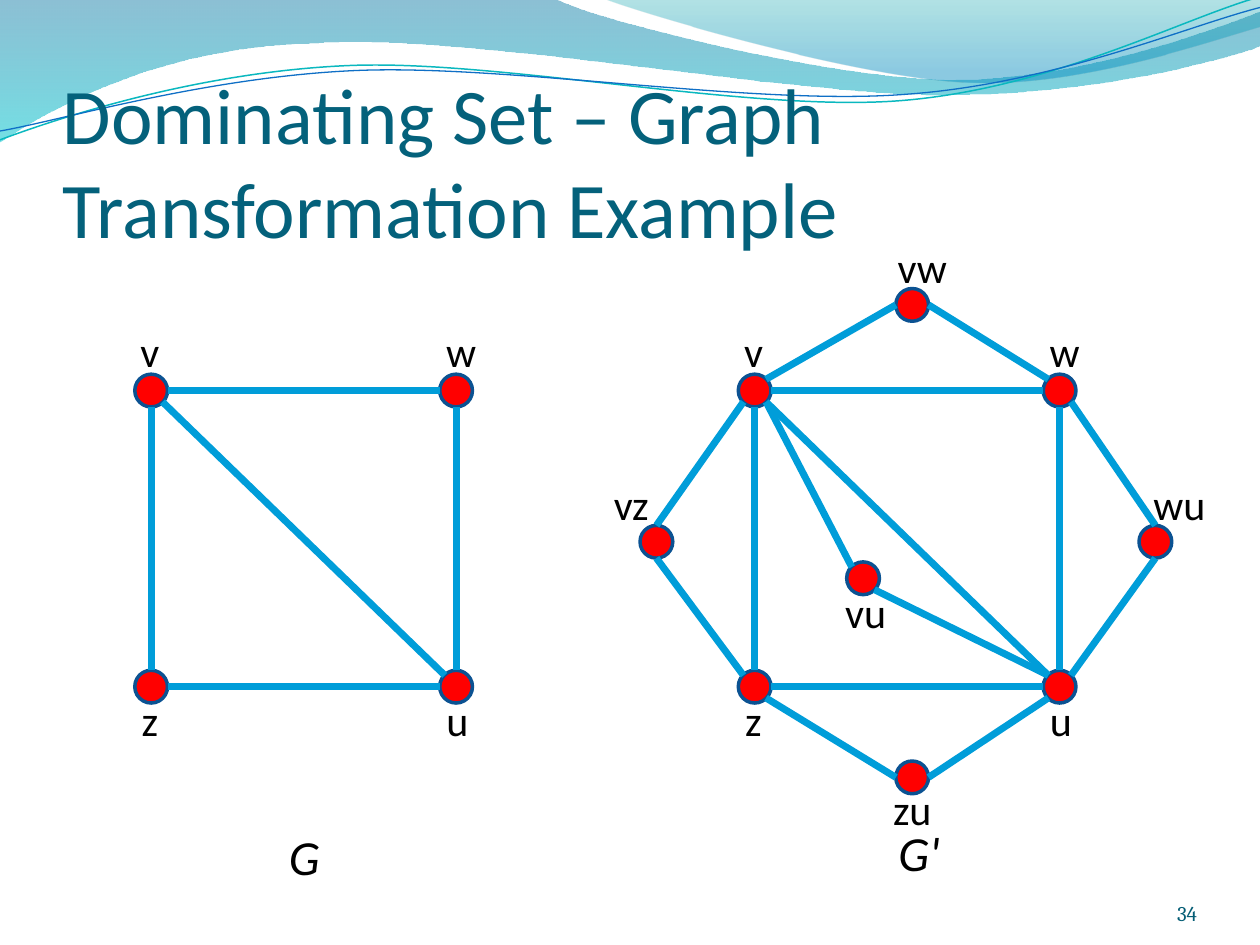
from dataclasses import dataclass
from math import cos, radians, sin

from lxml.etree import SubElement
from pptx import Presentation
from pptx.dml.color import RGBColor
from pptx.enum.shapes import MSO_CONNECTOR, MSO_SHAPE
from pptx.enum.text import MSO_ANCHOR, MSO_AUTO_SIZE, PP_ALIGN
from pptx.oxml.ns import qn
from pptx.util import Inches, Pt


@dataclass(frozen=True)
class Theme:
    title: str = "04617B"
    page: str = "045D75"
    ink: str = "000000"
    node: str = "FF0000"
    rim: str = "0B5292"
    edge: str = "009DD9"
    sans: str = "Calibri"
    serif: str = "Cambria"
    head_size: int = 45
    cap_size: int = 28
    label_size: int = 24
    page_size: int = 12


@dataclass(frozen=True)
class Node:
    """A vertex by its centre, with the offset of its label's centre."""
    name: str
    x: float
    y: float
    dx: float
    dy: float


@dataclass(frozen=True)
class Wave:
    """A curved outline: each step holds one point, or three for a Bézier curve."""
    start: tuple
    steps: tuple
    stops: tuple = ()  # (colour, position, opacity %)
    line: tuple = ()  # (colour, points)
    pivot: tuple = (0, 0)
    turn: float = 0


THEME = Theme()
RADIUS, DIAG = 0.13, 0.09
PORTS = {"n": (0, -RADIUS), "s": (0, RADIUS), "w": (-RADIUS, 0), "e": (RADIUS, 0),
         "nw": (-DIAG, -DIAG), "ne": (DIAG, -DIAG),
         "sw": (-DIAG, DIAG), "se": (DIAG, DIAG)}
GLYPHS = {"v": 0.15, "w": 0.24, "z": 0.14, "u": 0.18}
SHIFT = 4.79

SQUARE = (
    Node("v", 1.2, 3.1, -0.01, -0.31),
    Node("w", 3.62, 3.1, 0.04, -0.31),
    Node("z", 1.2, 5.45, -0.01, 0.27),
    Node("u", 3.62, 5.45, 0.01, 0.27),
)
ADDED = (
    Node("vz", 5.21, 4.3, -0.2, -0.3),
    Node("wu", 9.17, 4.3, 0.19, -0.3),
    Node("zu", 7.24, 6.17, 0, 0.25),
    Node("vw", 7.24, 2.42, 0.08, -0.3),
    Node("vu", 6.85, 4.59, 0.02, 0.27),
)
# Each edge: node, port, node, port
SIDES = ("v e w w", "v s z n", "z e u w", "u n w s", "v se u nw")
LINKS = ("vw w v ne", "vw e w nw", "vz s z nw", "vz n v sw", "w se wu n",
         "wu s u ne", "z se zu w", "zu e u sw", "vu nw v se", "vu se u nw")

FILLS = (
    Wave((0, 0), (
        (4.4, -0.01), (4.76, 0.17, 6.64, 0.63, 7.58, 0.63),
        (8.53, 0.63, 9.58, 0.26, 10, 0.09), (10.01, 0.36),
        (9.83, 0.44, 8.7, 0.76, 7.46, 0.75), (6.22, 0.75, 3.82, 0.28, 2.57, 0.34),
        (1.29, 0.36, 0.46, 0.83, -0.01, 1.13), (0, 0)),
        stops=(("0074A1", 0, 45), ("00C6CF", 1, 55))),
    Wave((4.79, -0.01), (
        (5.09, 0.11, 6.82, 0.62, 7.69, 0.65), (8.56, 0.69, 9.61, 0.32, 10, 0.21),
        (10, 0), (4.79, -0.01)),
        stops=(("00A1A9", 0, 30), ("008BBF", 0.8, 45))),
)
CURVES = (
    Wave((0, 1.11), (
        (0.48, 0.93, 1.58, 0.57, 2.77, 0.52), (3.95, 0.47, 5.93, 0.89, 7.13, 0.8),
        (8.33, 0.71, 9.38, 0.15, 9.98, -0.02)),
        line=("0AB8BF", 0.85), pivot=(4.99, 0.58), turn=-2.7),
    Wave((0, 1.04), (
        (0.47, 0.96, 1.64, 0.61, 2.83, 0.56), (4.03, 0.51, 5.97, 0.84, 7.17, 0.75),
        (8.36, 0.67, 9.41, 0.21, 10, 0.06)),
        line=("0F6FC6", 0.75), pivot=(5, 0.59), turn=-2.7),
)


def color(code: str) -> RGBColor:
    return RGBColor.from_string(code)


def stroke(line, code: str, width: float) -> None:
    line.color.rgb = color(code)
    line.width = Pt(width)


def level(wave: Wave, x: float, y: float) -> tuple:
    """Place a point as it lies before the wave is turned about its pivot."""
    a, (px, py) = radians(-wave.turn), wave.pivot
    dx, dy = x - px, y - py
    return (Inches(px + dx * cos(a) - dy * sin(a)),
            Inches(py + dx * sin(a) + dy * cos(a)))


def bend(shape, steps: tuple) -> None:
    """Join each run of three line points into one Bézier curve."""
    lines = iter(list(shape._element.iter(qn("a:lnTo"))))
    for step in steps:
        first = next(lines)
        if len(step) == 6:
            first.tag = qn("a:cubicBezTo")
            for _ in range(2):
                extra = next(lines)
                first.append(extra[0])
                extra.getparent().remove(extra)


def draw_wave(shapes, wave: Wave):
    pen = shapes.build_freeform(*level(wave, *wave.start), scale=1.0)
    pen.add_line_segments([level(wave, *step[i:i + 2]) for step in wave.steps
                           for i in range(0, len(step), 2)], close=bool(wave.stops))
    shape = pen.convert_to_shape()
    bend(shape, wave.steps)
    shape.rotation = wave.turn
    shape.shadow.inherit = False
    if wave.line:
        shape.fill.background()
        stroke(shape.line, *wave.line)
        return shape
    shape.fill.gradient()
    shape.fill.gradient_angle = 270
    for stop, (code, place, _) in zip(shape.fill.gradient_stops, wave.stops):
        stop.color.rgb = color(code)
        stop.position = place
    tints = list(shape._element.spPr.iter(qn("a:srgbClr")))
    for tint, (_, _, alpha) in zip(tints, wave.stops):
        SubElement(tint, qn("a:alpha")).set("val", str(alpha * 1000))
    shape.line.fill.background()
    return shape


def draw_text(shapes, text: str, box: tuple, font: dict, code: str = THEME.ink,
              align=PP_ALIGN.CENTER, frame: dict | None = None) -> None:
    area = shapes.add_textbox(*map(Inches, box)).text_frame
    grow = {"word_wrap": False, "auto_size": MSO_AUTO_SIZE.SHAPE_TO_FIT_TEXT}
    for key, value in (frame or grow).items():
        setattr(area, key, value)
    para = area.paragraphs[0]
    para.alignment = align
    run = para.add_run()
    run.text = text
    for key, value in font.items():
        setattr(run.font, key, value)
    run.font.color.rgb = color(code)


def draw_node(shapes, node: Node) -> None:
    box = (node.x - RADIUS, node.y - RADIUS, 2 * RADIUS, 2 * RADIUS)
    dot = shapes.add_shape(MSO_SHAPE.OVAL, *map(Inches, box))
    dot.shadow.inherit = False
    dot.fill.solid()
    dot.fill.fore_color.rgb = color(THEME.node)
    stroke(dot.line, THEME.rim, 2)


def draw_edge(shapes, nodes: dict, edge: str) -> None:
    a, out, b, into = edge.split()
    ends = [Inches(spot) for name, port in ((a, out), (b, into))
            for spot in (nodes[name].x + PORTS[port][0], nodes[name].y + PORTS[port][1])]
    link = shapes.add_connector(MSO_CONNECTOR.STRAIGHT, *ends)
    stroke(link.line, THEME.edge, 4)
    SubElement(link._element.spPr, qn("a:effectLst"))


def draw_label(shapes, node: Node) -> None:
    width, high = 0.2 + sum(GLYPHS[c] for c in node.name), 0.51
    box = (node.x + node.dx - width / 2, node.y + node.dy - high / 2, width, high)
    draw_text(shapes, node.name, box, {"name": THEME.sans, "size": Pt(THEME.label_size)})


def draw_graph(shapes, nodes: tuple, edges: tuple, name: str, box: tuple) -> None:
    for node in nodes:
        draw_node(shapes, node)
    table = {node.name: node for node in nodes}
    for edge in edges:
        draw_edge(shapes, table, edge)
    for node in nodes:
        draw_label(shapes, node)
    draw_text(shapes, name, box,
              {"name": THEME.sans, "size": Pt(THEME.cap_size), "italic": True})


def main() -> None:
    deck = Presentation()
    deck.slide_width, deck.slide_height = Inches(10), Inches(7.5)
    shapes = deck.slides.add_slide(deck.slide_layouts[6]).shapes
    for wave in FILLS + CURVES:
        draw_wave(shapes, wave)
    flush = {"word_wrap": True, "vertical_anchor": MSO_ANCHOR.BOTTOM, "margin_left": 0,
             "margin_right": 0, "margin_top": 0, "margin_bottom": 0}
    draw_text(shapes, "Dominating Set – Graph Transformation Example", (0.5, 0.77, 9, 1.25),
              {"name": THEME.sans, "size": Pt(THEME.head_size)}, THEME.title,
              PP_ALIGN.LEFT, {**flush, "margin_top": Inches(0.05)})
    draw_graph(shapes, SQUARE, SIDES, "G", (2.19, 6.51, 0.45, 0.57))
    moved = tuple(Node(n.name, n.x + SHIFT, n.y, n.dx, n.dy) for n in SQUARE)
    draw_graph(shapes.add_group_shape().shapes, moved + ADDED, SIDES + LINKS, "G'",
               (7.03, 6.48, 0.53, 0.57))
    draw_text(shapes, "34", (8.67, 6.95, 0.83, 0.4),
              {"name": THEME.serif, "size": Pt(THEME.page_size)}, THEME.page,
              PP_ALIGN.RIGHT, flush)
    deck.save("out.pptx")


if __name__ == "__main__":
    main()
